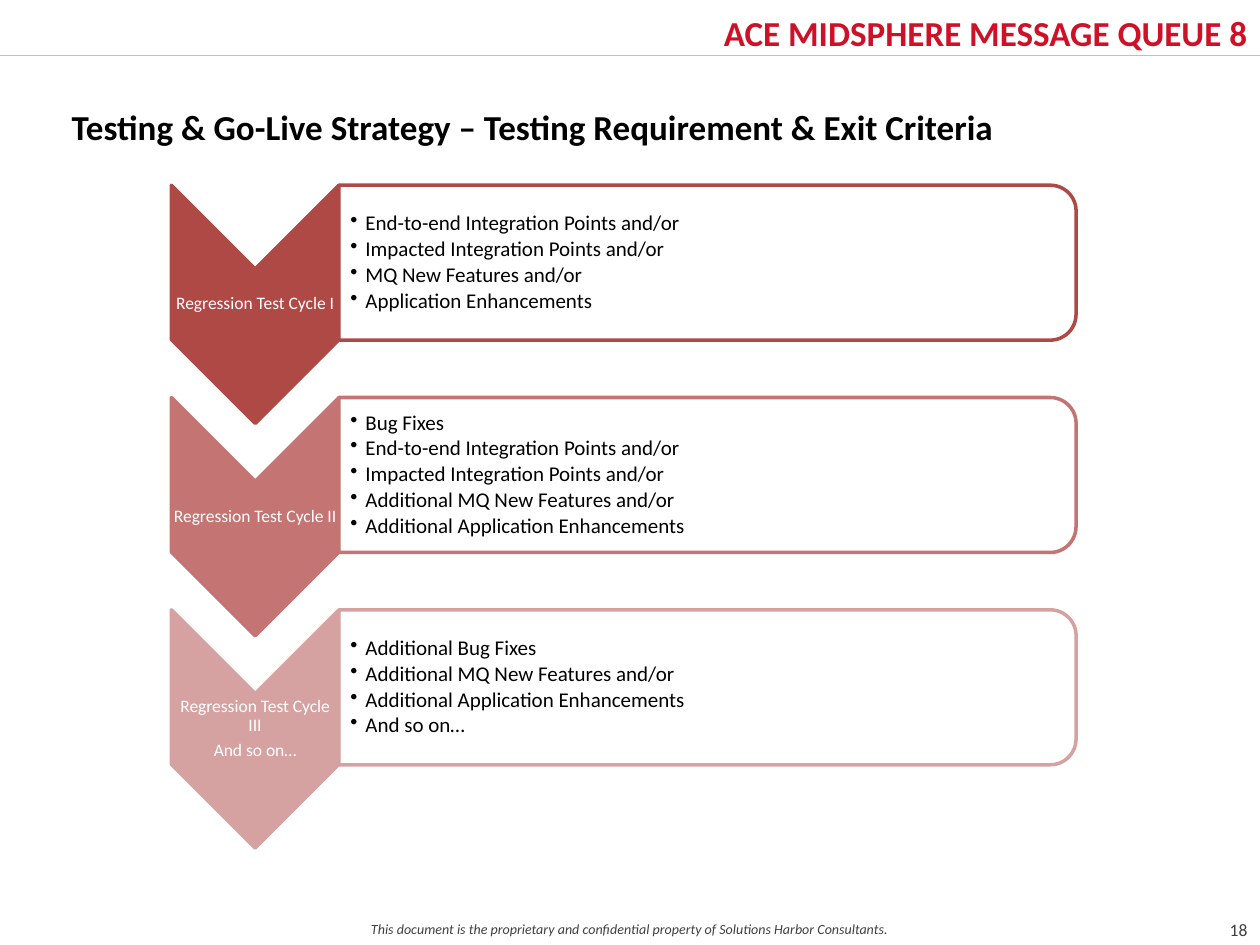
from lxml import etree
from pptx import Presentation
from pptx.dml.color import RGBColor
from pptx.enum.shapes import MSO_CONNECTOR, MSO_SHAPE
from pptx.enum.text import MSO_ANCHOR, PP_ALIGN
from pptx.oxml.ns import qn
from pptx.util import Inches, Pt

LEFT, MID, RIGHT, JUST = PP_ALIGN.LEFT, PP_ALIGN.CENTER, PP_ALIGN.RIGHT, PP_ALIGN.JUSTIFY
TOP, CENTER = MSO_ANCHOR.TOP, MSO_ANCHOR.MIDDLE
CHEVRON, ROUND = MSO_SHAPE.CHEVRON, MSO_SHAPE.ROUND_2_SAME_RECTANGLE
STRAIGHT = MSO_CONNECTOR.STRAIGHT

CYCLES = [
    ("AE4946", ["Regression Test Cycle I"],
     ["End-to-end Integration Points and/or", "Impacted Integration Points and/or",
      "MQ New Features and/or", "Application Enhancements"]),
    ("C47472", ["Regression Test Cycle II"],
     ["Bug Fixes", "End-to-end Integration Points and/or",
      "Impacted Integration Points and/or", "Additional MQ New Features and/or",
      "Additional Application Enhancements"]),
    ("D6A2A1", ["Regression Test Cycle III", "And so on…"],
     ["Additional Bug Fixes", "Additional MQ New Features and/or",
      "Additional Application Enhancements", "And so on…"]),
]
PITCH = 1.685


def color(code):
    return RGBColor.from_string(code)


class Deck:
    """Holds the style and the current slide."""
    font = "Calibri"
    ink = "000000"
    gray = "404040"
    red = "CE1126"
    rule = "BFBFBF"
    white = "FFFFFF"

    def __init__(self, slide):
        self.slide = slide

    def text(self, lines, box, size, fill=ink, align=LEFT, anchor=TOP, pad=(0.1, 0.05, 0.1, 0.05),
             bold=False, italic=False, lead=None, after=0, bullet=False):
        frame = self.slide.shapes.add_textbox(*map(Inches, box)).text_frame
        frame.word_wrap = True
        frame.vertical_anchor = anchor
        (frame.margin_left, frame.margin_top,
         frame.margin_right, frame.margin_bottom) = map(Inches, pad)
        for i, line in enumerate(lines):
            para = frame.add_paragraph() if i else frame.paragraphs[0]
            para.text = line
            para.alignment = align
            para.line_spacing = lead
            para.space_after = Pt(after)
            if bullet:
                self.bullet(para)
            font = para.runs[0].font
            font.name, font.size = self.font, Pt(size)
            font.bold, font.italic = bold, italic
            font.color.rgb = color(fill)

    def bullet(self, para):
        para.level = 1
        props = para._p.get_or_add_pPr()
        props.set("marL", str(Inches(0.12)))
        props.set("indent", str(-Inches(0.12)))
        etree.SubElement(props, qn("a:buChar")).set("char", "•")

    def shape(self, kind, box, fill, edge, alpha=None):
        """Add a shape turned a quarter clockwise; box is its place before the turn."""
        item = self.slide.shapes.add_shape(kind, *map(Inches, box))
        item.rotation = 90
        item.shadow.inherit = False
        item.fill.solid()
        item.fill.fore_color.rgb = color(fill)
        if alpha:
            tint = item._element.spPr.find(qn("a:solidFill"))[0]
            etree.SubElement(tint, qn("a:alpha")).set("val", str(alpha * 1000))
        item.line.color.rgb = color(edge)
        item.line.width = Pt(2)

    def line(self, start, end, fill, width):
        item = self.slide.shapes.add_connector(STRAIGHT, *map(Inches, start + end))
        item.line.color.rgb = color(fill)
        item.line.width = Pt(width)
        etree.SubElement(item._element.spPr, qn("a:effectLst"))

    def cycle(self, row, tone, label, items):
        drop = row * PITCH
        thin = (0.01, 0.01, 0.01, 0.01)
        self.shape(CHEVRON, (1.08, 1.75 + drop, 1.89, 1.33), tone, tone)
        self.text(label, (1.36, 2.13 + drop, 1.33, 0.57), 10, self.white, MID, CENTER,
                  thin, lead=0.9, after=3.5)
        self.shape(ROUND, (5, -0.84 + drop, 1.23, 5.85), self.white, tone, alpha=90)
        self.text(items, (2.69, 1.53 + drop, 5.79, 1.11), 12, anchor=CENTER,
                  pad=(0.09,) + thin[1:], lead=0.9, after=1.8, bullet=True)


def main():
    show = Presentation()
    show.slide_width, show.slide_height = Inches(10), Inches(7.5)
    deck = Deck(show.slides.add_slide(show.slide_layouts[6]))
    edge = (0.11, 0.05, 0.11, 0.05)

    deck.text(["This document is the proprietary and confidential property of "
               "Solutions Harbor Consultants."],
              (0, 7.26, 10, 0.24), 8, deck.gray, MID, pad=edge, italic=True)
    deck.text(["18"], (9.6, 7.16, 0.46, 0.43), 10, deck.gray, MID, CENTER, edge)
    deck.line((0, 0.44), (10, 0.44), deck.rule, 0.5)
    deck.text(["ACE MIDSPHERE MESSAGE QUEUE 8"], (4.01, 0.02, 5.99, 0.42), 20, deck.red, RIGHT,
              pad=(0, 0.07, 0.1, 0.07), bold=True)
    deck.text(["Testing & Go-Live Strategy – Testing Requirement & Exit Criteria"],
              (0.47, 0.79, 9.02, 0.86), 20, align=JUST, bold=True, after=6)
    for row, (tone, label, items) in enumerate(CYCLES):
        deck.cycle(row, tone, label, items)

    show.save("out.pptx")


if __name__ == "__main__":
    main()
